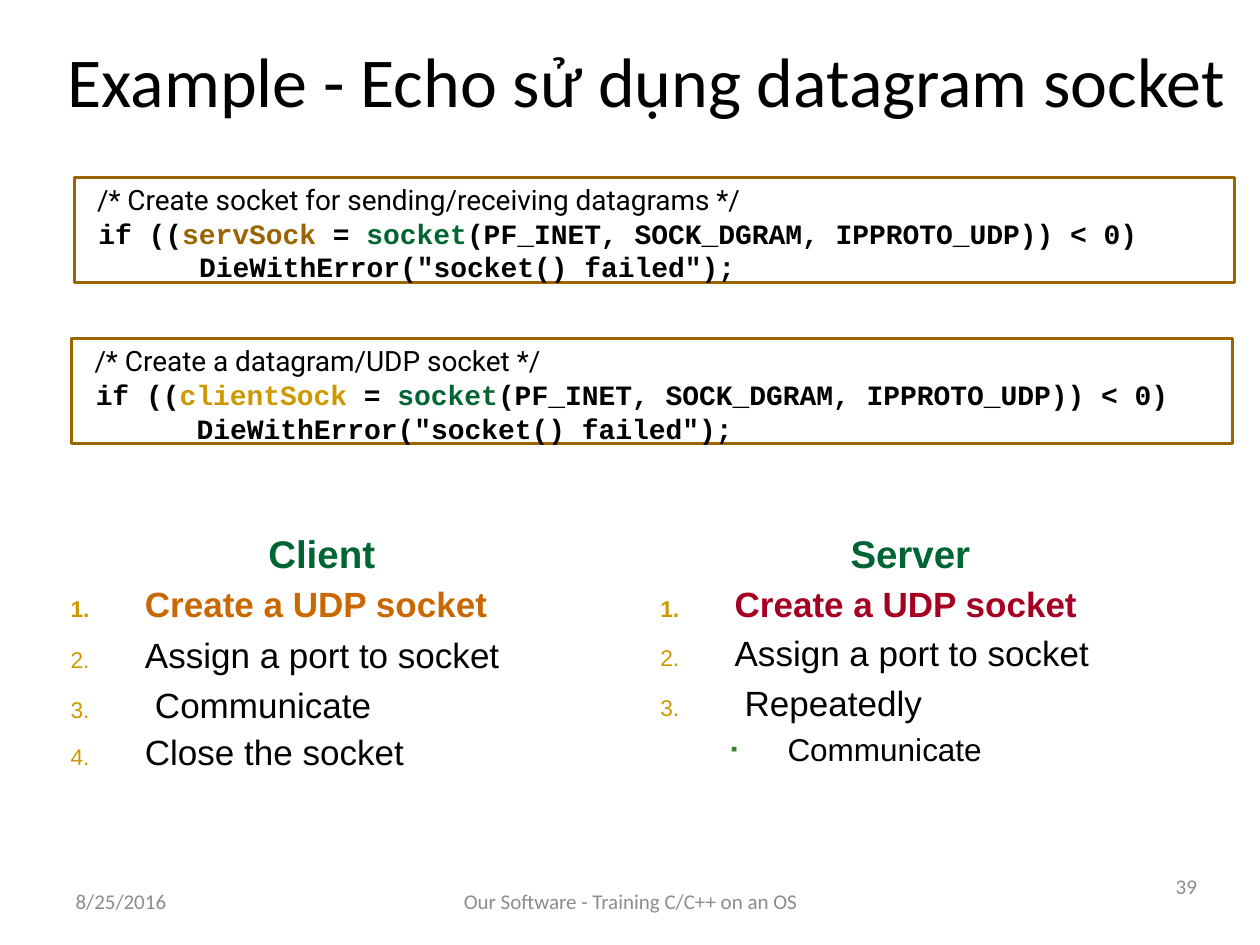
import pptx
import pptx.util
import pptx.dml.color
import pptx.enum.shapes
import pptx.enum.text
import pptx.oxml
import pptx.oxml.ns

ALIGN = pptx.enum.text.PP_ALIGN
ANCHOR = pptx.enum.text.MSO_ANCHOR
COLORS = {"black": "000000", "grey": "8C8C8C", "green": "006533", "gold": "CC9A00",
          "brown": "9A6500", "border": "996600", "orange": "CA6800", "red": "A50021",
          "leaf": "3B822F"}
COLS, ROWS = 100, 75


def rgb(name):
    return pptx.dml.color.RGBColor.from_string(COLORS[name])


class Deck:
    """Holds the style, the presentation and the current slide."""

    code = {"size": 16, "name": "Courier New", "bold": True}
    comment = {"size": 16, "name": "Roboto"}
    heading = {"size": 22, "name": "Arial", "bold": True, "color": "green"}
    item = {"size": 20, "name": "Arial"}
    small = {"size": 12, "name": "Calibri", "color": "grey"}

    def __init__(self, layout):
        self.prs = pptx.Presentation()
        self.prs.slide_width = pptx.util.Inches(10)
        self.prs.slide_height = pptx.util.Inches(7.5)
        self.s = self.prs.slides.add_slide(self.prs.slide_layouts[layout])

    def cells(self, n):
        return int(self.prs.slide_width * n / COLS)

    def place(self, sp, col, row, cols, rows):
        box = {"left": col, "top": row, "width": cols, "height": rows}
        for key, value in box.items():
            setattr(sp, key, self.cells(value))

    def frame(self, sp, anchor=ANCHOR.TOP):
        tf = sp.text_frame
        values = {"margin_left": 0, "margin_right": 0, "margin_top": 0, "margin_bottom": 0,
                  "word_wrap": True, "vertical_anchor": anchor,
                  "auto_size": pptx.enum.text.MSO_AUTO_SIZE.NONE}
        for key, value in values.items():
            setattr(tf, key, value)
        return tf

    def paragraph(self, tf, runs, first=False, margin=0, indent=0, **values):
        p = tf.paragraphs[0] if first else tf.add_paragraph()
        pPr = p._p.get_or_add_pPr()
        pPr.set("marL", str(self.cells(margin)))
        pPr.set("indent", str(self.cells(indent)))
        for key, value in {"space_before": pptx.util.Pt(0), **values}.items():
            setattr(p, key, value)
        for text, style in runs:
            r = p.add_run()
            r.text = text
            style = {"color": "black", "bold": False, **style}
            r.font.color.rgb = rgb(style.pop("color"))
            r.font.size = pptx.util.Pt(style.pop("size"))
            for key, value in style.items():
                setattr(r.font, key, value)
        return p

    def bullet(self, p, color, percent, tag, **attributes):
        pPr = p._p.get_or_add_pPr()
        clr = pptx.oxml.parse_xml(
            f'<a:buClr {pptx.oxml.ns.nsdecls("a")}><a:srgbClr val="{COLORS[color]}"/></a:buClr>')
        pPr.append(clr)
        parts = [("a:buSzPct", {"val": str(percent * 1000)}),
                 ("a:buFont", {"typeface": "Arial"}), (tag, attributes)]
        for name, values in parts:
            element = pPr.makeelement(pptx.oxml.ns.qn(name), values)
            pPr.append(element)

    def placeholder(self, idx, box, text, style, align=ALIGN.LEFT, anchor=ANCHOR.TOP):
        sp = self.s.placeholders[idx]
        self.place(sp, *box)
        self.paragraph(self.frame(sp, anchor), [(text, style)], True, alignment=align)

    def numbered_list(self, idx, box, items):
        """Each item is (text, style, pitch in points, extra margin, level)."""
        sp = self.s.placeholders[idx]
        self.place(sp, *box)
        tf = self.frame(sp)
        for n, (text, style, pitch, extra, level) in enumerate(items):
            margin, hang = (10.1, 4.5) if level else (5.9 + extra, 5.9 + extra)
            p = self.paragraph(tf, [(text, {**self.item, **style})], n == 0, margin, -hang,
                               level=level, line_spacing=pptx.util.Pt(pitch))
            if level:
                self.bullet(p, "leaf", 60, "a:buChar", char="▪")
            else:
                self.bullet(p, "gold", 65, "a:buAutoNum", type="arabicPeriod")

    def code_box(self, box, comment, variable):
        sp = self.s.shapes.add_shape(pptx.enum.shapes.MSO_SHAPE.RECTANGLE, 0, 0, 0, 0)
        self.place(sp, *box)
        sp.shadow.inherit = False
        sp.fill.background()
        sp.line.color.rgb = rgb("border")
        sp.line.width = pptx.util.Pt(1.75)
        tf = self.frame(sp)
        tf.margin_top = self.cells(0.4)
        condition = [("if ((", "black"), (variable, "brown" if variable == "servSock" else "gold"),
                     (" = ", "black"), ("socket", "green"),
                     ("(PF_INET, SOCK_DGRAM, IPPROTO_UDP)) < 0)", "black")]
        lines = [(1.8, [(comment, self.comment)]),
                 (1.9, [(text, {**self.code, "color": color}) for text, color in condition]),
                 (9.9, [('DieWithError("socket() failed");', self.code)])]
        for n, (margin, runs) in enumerate(lines):
            self.paragraph(tf, runs, n == 0, margin, alignment=ALIGN.LEFT)

    def label(self, box, text, align):
        sp = self.s.shapes.add_textbox(0, 0, 0, 0)
        self.place(sp, *box)
        self.paragraph(self.frame(sp, ANCHOR.MIDDLE), [(text, self.small)], True, alignment=align)


deck = Deck(layout=4)

# Title
deck.placeholder(0, (5, 3, 92.6, 6.7), "Example - Echo sử dụng datagram socket",
                 {"size": 40, "name": "Calibri"}, ALIGN.CENTER, ANCHOR.MIDDLE)

# Code boxes
deck.code_box((5.9, 14.1, 92.1, 8.3),
              "/* Create socket for sending/receiving datagrams */", "servSock")
deck.code_box((5.7, 26.9, 92.1, 8.3), "/* Create a datagram/UDP socket */", "clientSock")

# Client and server steps
first, assign = "Create a UDP socket", "Assign a port to socket"
bold = {"bold": True}
columns = [
    (1, 21.3, "Client", 5.6, [
        (first, {**bold, "color": "orange"}, 28.8, 0, 0), (assign, {}, 28.8, 0, 0),
        ("Communicate", {}, 28.8, 0.8, 0), ("Close the socket", {}, 26.8, 0, 0)]),
    (3, 67.5, "Server", 52.4, [
        (first, {**bold, "color": "red"}, 28.3, 0, 0), (assign, {}, 28.3, 0, 0),
        ("Repeatedly", {}, 28.3, 0.8, 0), ("Communicate", {"size": 18}, 25.7, 0, 1)])]
for idx, heading_col, heading, list_col, items in columns:
    deck.placeholder(idx, (heading_col, 42.1, 18, 3.5), heading, deck.heading)
    deck.numbered_list(idx + 1, (list_col, 45.6, 40, 17), items)

# Footer
deck.label((6, 69.5, 21.3, 4), "8/25/2016", ALIGN.LEFT)
deck.label((34.2, 69.5, 31.7, 4), "Our Software - Training C/C++ on an OS", ALIGN.CENTER)
deck.label((71.7, 69.5, 23.3, 1.7), "39", ALIGN.RIGHT)

deck.prs.save("out.pptx")
